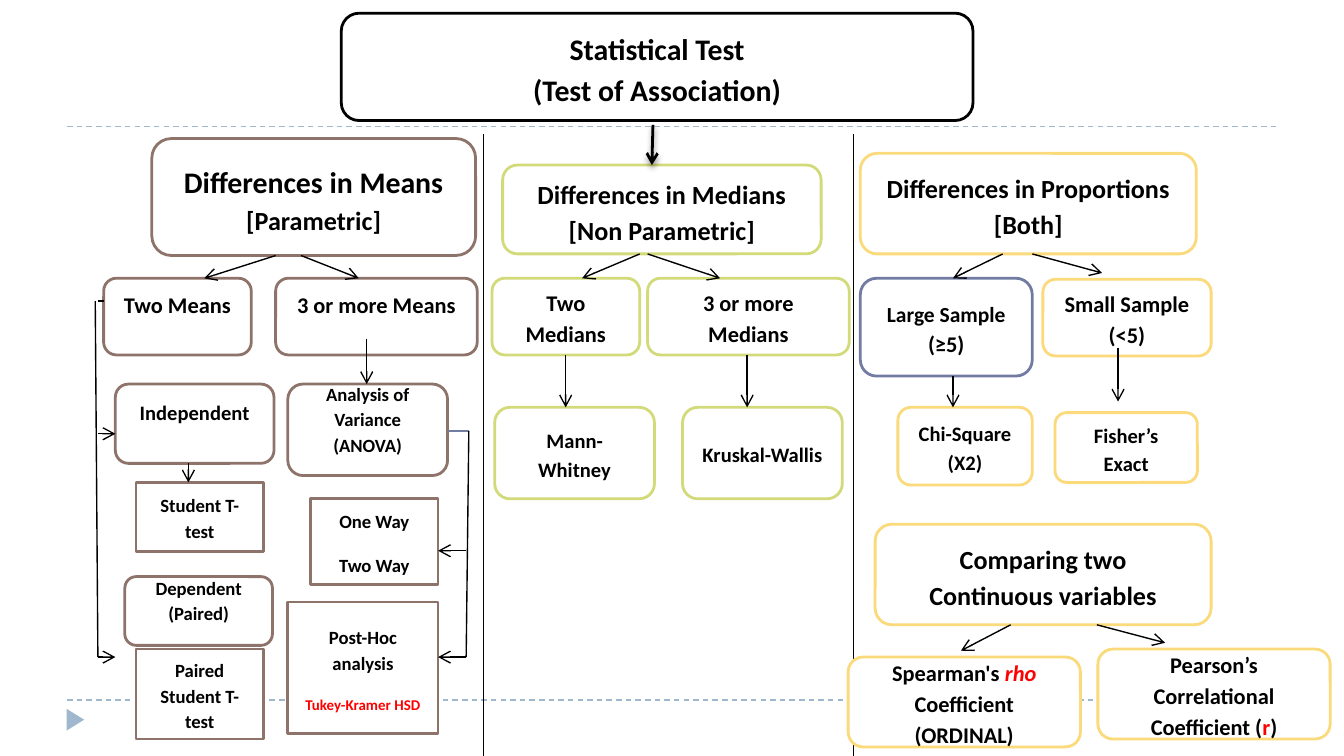
from lxml import etree
from pptx import Presentation
from pptx.dml.color import RGBColor
from pptx.enum import dml, shapes, text
from pptx.oxml import ns
from pptx.util import Cm, Pt

BLACK = RGBColor(0x00, 0x00, 0x00)
WHITE = RGBColor(0xFF, 0xFF, 0xFF)
RED = RGBColor(0xFF, 0x00, 0x00)
BROWN = RGBColor(0x8E, 0x73, 0x6A)
GREEN = RGBColor(0xD2, 0xDA, 0x7A)
GOLD = RGBColor(0xFA, 0xDA, 0x7A)
BLUE = RGBColor(0x72, 0x7C, 0xA3)
PALE = RGBColor(0x9F, 0xB8, 0xCD)

ROUND = shapes.MSO_SHAPE.ROUNDED_RECTANGLE
RECT = shapes.MSO_SHAPE.RECTANGLE
WIDE, HIGH = 25.4, 14.29
GROUP = 5.26  # top of the row of groups
CASE = 1.45   # height of a group box


class Chart:
    font = "Calibri"
    pad = 0.13
    side = 0.25

    def __init__(self, slide):
        self.slide = slide

    def shape(self, kind, at, fill):
        item = self.slide.shapes.add_shape(kind, *map(Cm, at))
        item.shadow.inherit = False
        item.fill.solid()
        item.fill.fore_color.rgb = fill
        return item

    def box(self, at, color, size, *lines, kind=ROUND, lift=0, gap=0, side=side):
        """Draw a framed label with one paragraph per line.

        A line is a string or a list of runs. lift is extra room below the
        text and side the room beside it, in cm; gap is in points.
        """
        item = self.shape(kind, at, WHITE)
        item.line.color.rgb = color
        item.line.width = Pt(1.5)
        frame = item.text_frame
        frame.word_wrap = True
        frame.vertical_anchor = text.MSO_ANCHOR.MIDDLE
        frame.margin_bottom = Cm(self.pad + lift)
        frame.margin_left = frame.margin_right = Cm(side)
        for i, line in enumerate(lines):
            para = frame.add_paragraph() if i else frame.paragraphs[0]
            para.alignment = text.PP_ALIGN.CENTER
            para.line_spacing = 1.15
            para.space_after = Pt(gap)
            font = para.font
            font.name, font.size, font.bold = self.font, Pt(size), True
            font.color.rgb = BLACK
            for run in [line] if isinstance(line, str) else line:
                para.add_run().text = run
        return item

    def line(self, ends, color=BLACK, width=0.75):
        item = self.slide.shapes.add_connector(
            shapes.MSO_CONNECTOR.STRAIGHT, *map(Cm, ends))
        item.line.color.rgb = color
        item.line.width = Pt(width)
        etree.SubElement(item._element.spPr, ns.qn("a:effectLst"))
        return item

    def arrow(self, ends, width=0.75):
        item = self.line(ends, width=width)
        stroke = item._element.spPr.find(ns.qn("a:ln"))
        etree.SubElement(stroke, ns.qn("a:tailEnd"), type="arrow")
        return item

    def fall(self, upper, start, lower, end, sunk=0, gap=0):
        """Point from x start under upper to x end over lower.

        The arrow begins sunk cm inside upper and stops gap cm above lower.
        """
        top = (upper.top + upper.height) / Cm(1) - sunk
        self.arrow((start, top, end, lower.top / Cm(1) - gap))

    def shade(self, item):
        """Give a connector a soft shadow below it."""
        effect = item._element.spPr.find(ns.qn("a:effectLst"))
        drop = etree.SubElement(effect, ns.qn("a:outerShdw"), blurRad=str(Pt(3)),
                                dist=str(Pt(2)), dir="5400000", rotWithShape="0")
        tint = etree.SubElement(drop, ns.qn("a:srgbClr"), val=str(BLACK))
        etree.SubElement(tint, ns.qn("a:alpha"), val="40000")


def frame(c):
    """Draw the dashed rules, the corner mark, the title and the dividers."""
    for y in (2.39, 13.23):
        rule = c.line((1.27, y, 24.13, y), PALE)
        rule.line.dash_style = dml.MSO_LINE.DASH
    mark = c.shape(shapes.MSO_SHAPE.ISOSCELES_TRIANGLE, (1.22, 13.44, 0.41, 0.33), PALE)
    mark.line.fill.background()
    mark.rotation = 90
    c.box((6.45, 0.25, 11.94, 2.03), BLACK, 16,
          "Statistical Test", "(Test of Association)")
    for x in (9.14, 16.13):
        c.line((x, 2.54, x, HIGH))


def means(c):
    head = c.box((2.87, 2.62, 6.12, 2.21), BROWN, 16,
                 "Differences in Means", "[Parametric]")
    head.text_frame.paragraphs[1].font.size = Pt(14)
    two = c.box((1.96, GROUP, 2.79, CASE), BROWN, 12, "Two Means", lift=0.54)
    more = c.box((5.21, GROUP, 3.81, CASE), BROWN, 12, "3 or more Means", lift=0.54)
    c.fall(head, 5.21, two, 3.86)
    c.fall(head, 5.69, more, 6.78)

    free = c.box((2.18, 7.26, 3, 1.5), BROWN, 11, "Independent", lift=0.5)
    c.box((2.36, 10.9, 2.79, 1.3), BROWN, 10, "Dependent (Paired)", lift=0.45)
    anova = c.box((5.44, 7.26, 3.02, 1.73), BROWN, 10,
                  "Analysis of Variance (ANOVA)", lift=0.45)

    def test(at, *lines):
        return c.box(at, BROWN, 10, *lines, kind=RECT, gap=10)

    student = test((2.57, 9.12, 2.41, 1.3), "Student T-test")
    test((2.57, 12.27, 2.41, 1.7), "Paired Student T-test")
    test((5.87, 9.42, 2.41, 1.63), "One Way", "Two Way")
    post = test((5.44, 11.38, 2.84, 2.49), "Post-Hoc analysis", "Tukey-Kramer HSD")
    note = post.text_frame.paragraphs[1].font
    note.size, note.color.rgb = Pt(8), RED
    c.fall(free, 3.56, student, 3.56)
    c.fall(more, 6.93, anova, 6.93, sunk=0.31)

    # Brackets: a stub out of the box, a spine and an arrow to each test
    left, right, foot = 1.85, 8.81, 12.42
    c.line((left, 5.69, 1.96, 5.69))
    c.line((1.8, 5.69, left, foot))
    c.line((8.86, 8.15, 8.46, 8.15), BLUE)
    c.line((8.86, 8.15, right, foot))
    for y in (8.2, foot):
        c.arrow((left, y, 2.18, y))
    for y in (10.41, foot):
        c.arrow((right, y, 8.28, y))


def medians(c):
    head = c.box((9.5, 3.12, 6.02, 1.68), GREEN, 14,
                 "Differences in Medians", "[Non Parametric]")
    c.shade(c.arrow((12.34, 2.36, 12.32, 3.12), width=1.5))
    for x, wide, label, start, end, left, test, down in (
        (9.3, 2.79, "Two Medians", 12.09, 11, 9.35, "Mann-Whitney", 10.69),
        (12.24, 3.81, "3 or more Medians", 12.24, 13.61, 12.9, "Kruskal-Wallis", 14.12),
    ):
        group = c.box((x, GROUP, wide, CASE), GREEN, 12, label)
        leaf = c.box((left, 7.7, 3.02, 1.73), GREEN, 11, test)
        c.fall(head, start, group, end)
        c.fall(group, down, leaf, down)


def shares(c):
    """Draw the branch of proportions."""
    head = c.box((16.26, 2.9, 6.35, 1.9), GOLD, 14,
                 "Differences in Proportions", "[Both]")
    large = c.box((16.26, GROUP, 3.25, 1.85), BLUE, 12, "Large Sample", "(≥5)")
    large.text_frame.paragraphs[0].font.size = Pt(11.5)
    small = c.box((19.71, 5.28, 3.18, CASE), GOLD, 12, "Small Sample", "(<5)")
    chi = c.box((16.97, 7.7, 2.54, 1.47), GOLD, 11, "Chi-Square (X2)")
    fisher = c.box((19.94, 7.8, 2.69, 1.32), GOLD, 11, "Fisher’s Exact")
    c.fall(head, 18.95, large, 18.01)
    c.fall(head, 19.51, small, 20.83, gap=0.12)
    c.fall(large, 18.01, chi, 18.01)
    c.fall(small, 21.13, fisher, 21.13, sunk=0.15, gap=0.21)


def pairs(c):
    """Draw the branch of two continuous variables."""
    head = c.box((16.54, 9.91, 6.35, 1.9), GOLD, 14,
                 "Comparing two Continuous variables", side=0.5)
    for x, y, runs, slant, start, end in (
        (20.75, 12.27, ["Pearson’s Correlational Coefficient (", "r", ")"],
         False, 20.73, 22.02),
        (16.03, 12.42, ["Spearman's ", "rho", " Coefficient (ORDINAL)"],
         True, 19.1, 18.16),
    ):
        leaf = c.box((x, y, 4.39, 1.7), GOLD, 12, runs)
        sign = leaf.text_frame.paragraphs[0].runs[1].font
        sign.color.rgb, sign.italic = RED, slant
        c.fall(head, start, leaf, end, gap=0.12)


def main():
    deck = Presentation()
    deck.slide_width, deck.slide_height = Cm(WIDE), Cm(HIGH)
    chart = Chart(deck.slides.add_slide(deck.slide_layouts[6]))
    for part in (frame, means, medians, shares, pairs):
        part(chart)
    deck.save("out.pptx")


if __name__ == "__main__":
    main()
